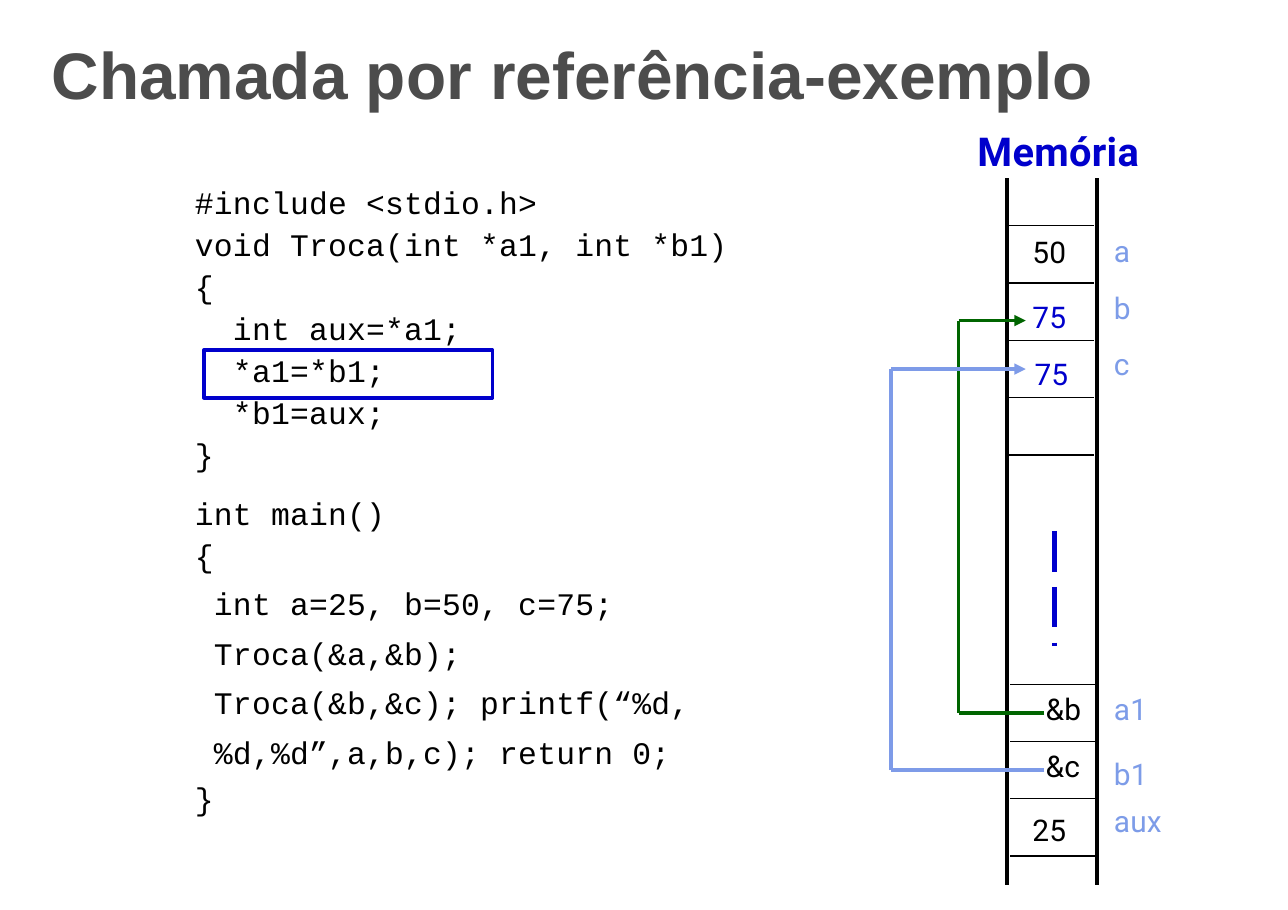
import dataclasses
import itertools

import lxml.etree
import pptx
import pptx.dml.color
import pptx.enum.dml
import pptx.enum.shapes
import pptx.enum.text
import pptx.oxml.ns
import pptx.util
from pptx.util import Inches


@dataclasses.dataclass(frozen=True)
class Theme:
    """Colours, fonts, type sizes and line widths of the slide."""
    title: str = "4C4C4C"
    ink: str = "000000"
    blue: str = "0000CC"
    label: str = "7D9CE8"
    green: str = "006500"
    sky: str = "7E9BE8"
    title_font: str = "Arial"
    code_font: str = "Courier New"
    memory_font: str = "Roboto"
    title_size: float = 43
    heading_size: float = 26
    code_size: float = 20.5
    memory_size: float = 19.5
    thin: float = 0.83
    thick: float = 2.48
    dash: float = 3.31


THEME = Theme()

CODE = [
    ("#include <stdio.h>", 0),
    ("void Troca(int *a1, int *b1)", 0),
    ("{", 0),
    ("  int aux=*a1;", 0),
    ("  *a1=*b1;", 0),
    ("  *b1=aux;", 0),
    ("}", 0),
    ("int main()", 11),
    ("{", 0),
    (" int a=25, b=50, c=75;", 4),
    (" Troca(&a,&b);", 4.9),
    (" Troca(&b,&c); printf(“%d,", 4.9),
    (" %d,%d”,a,b,c); return 0;", 4.9),
    ("}", 2.5),
]
CODE_PITCH = 27.5

CELLS = [
    ("50", 9.37, 2.12, THEME.ink),
    ("75", 9.37, 2.71, THEME.blue),
    ("75", 9.39, 3.23, THEME.blue),
    ("&b", 9.49, 6.27, THEME.ink),
    ("&c", 9.49, 6.79, THEME.ink),
    ("25", 9.37, 7.37, THEME.ink),
]
NAMES = [("a", 2.11), ("b", 2.63), ("c", 3.14),
         ("a1", 6.27), ("b1", 6.86), ("aux", 7.29)]
ROW_HEIGHT = 0.52
ROW_GROUPS = [(9.15, 2.05, 5), (9.17, 6.21, 4)]
POINTERS = [(8.7, 6.47, 2.91, THEME.green), (8.09, 6.99, 3.35, THEME.sky)]


def rgb(value):
    """Turn a hex string into a colour."""
    return pptx.dml.color.RGBColor.from_string(value)


def add_span(para, text, font, size, color, bold=False, tracking=0):
    """Add one formatted run, with tracking in hundredths of a point."""
    span = para.add_run()
    span.text = text
    span.font.name = font
    span.font.size = pptx.util.Pt(size)
    span.font.bold = bold
    span.font.color.rgb = rgb(color)
    if tracking:
        span._r.get_or_add_rPr().set("spc", str(tracking))


def clear_frame(box):
    """Remove the margins of a text box and anchor its text at the top."""
    frame = box.text_frame
    frame.margin_left = frame.margin_right = 0
    frame.margin_top = frame.margin_bottom = 0
    frame.vertical_anchor = pptx.enum.text.MSO_ANCHOR.TOP
    frame.auto_size = pptx.enum.text.MSO_AUTO_SIZE.NONE
    frame.word_wrap = True
    return frame


def add_frame(page, left, top, width, height):
    """Add a text box without margins and return its text frame."""
    return clear_frame(page.shapes.add_textbox(
        Inches(left), Inches(top), Inches(width), Inches(height)))


def add_title(page, text):
    """Place and fill the title placeholder."""
    title = page.shapes.title
    title.left, title.top = Inches(0.47), Inches(0.31)
    title.width, title.height = Inches(10.2), Inches(0.72)
    para = clear_frame(title).paragraphs[0]
    para.alignment = pptx.enum.text.PP_ALIGN.LEFT
    add_span(para, text, THEME.title_font, THEME.title_size, THEME.title, True)


def add_code(page):
    """Add the program listing."""
    frame = add_frame(page, 1.77, 1.62, 5.6, 5.9)
    for index, (text, gap) in enumerate(CODE):
        para = frame.add_paragraph() if index else frame.paragraphs[0]
        para.line_spacing = pptx.util.Pt(CODE_PITCH)
        para.space_before = pptx.util.Pt(gap)
        add_span(para, text, THEME.code_font, THEME.code_size, THEME.ink, tracking=15)


def add_memory_text(page, text, left, top, color):
    """Add a cell value or a variable name."""
    para = add_frame(page, left, top, 0.6, 0.33).paragraphs[0]
    add_span(para, text, THEME.memory_font, THEME.memory_size, color, tracking=10)


def add_line(page, start, end, color, width):
    """Add a straight line without a shadow."""
    line = page.shapes.add_connector(
        pptx.enum.shapes.MSO_CONNECTOR.STRAIGHT,
        *(Inches(value) for value in (*start, *end)))
    line.line.color.rgb = rgb(color)
    line.line.width = pptx.util.Pt(width)
    lxml.etree.SubElement(line._element.spPr, pptx.oxml.ns.qn("a:effectLst"))
    return line


def add_pointer(page, turn, bottom, top, color):
    """Add a three-part arrow from a pointer cell to the cell it refers to."""
    points = [(9.48, bottom), (turn, bottom), (turn, top), (9.31, top)]
    for start, end in itertools.pairwise(points):
        line = add_line(page, start, end, color, THEME.thick)
    outline = line._element.spPr.find(pptx.oxml.ns.qn("a:ln"))
    lxml.etree.SubElement(outline, pptx.oxml.ns.qn("a:tailEnd"), type="triangle")


def add_memory(page):
    """Draw the memory column with its cells, values and names."""
    for left in (9.14, 9.96):
        add_line(page, (left, 1.62), (left, 8.03), THEME.ink, THEME.thick)
    dash = add_line(page, (9.57, 4.82), (9.57, 5.86), THEME.blue, THEME.dash)
    dash.line.dash_style = pptx.enum.dml.MSO_LINE.LONG_DASH
    for left, first, count in ROW_GROUPS:
        for row in range(count):
            top = first + row * ROW_HEIGHT
            add_line(page, (left, top), (left + 0.78, top), THEME.ink, THEME.thin)
    for cell in CELLS:
        add_memory_text(page, *cell)
    for name, top in NAMES:
        add_memory_text(page, name, 10.11, top, THEME.label)
    para = add_frame(page, 8.54, 1.15, 1.8, 0.44).paragraphs[0]
    para.alignment = pptx.enum.text.PP_ALIGN.RIGHT
    add_span(para, "Memória", THEME.memory_font, THEME.heading_size, THEME.blue, True, 20)


def add_highlight(page):
    """Outline the statement being executed."""
    frame = page.shapes.add_shape(
        pptx.enum.shapes.MSO_SHAPE.RECTANGLE,
        Inches(1.85), Inches(3.18), Inches(2.62), Inches(0.43))
    frame.shadow.inherit = False
    frame.fill.background()
    frame.line.color.rgb = rgb(THEME.blue)
    frame.line.width = pptx.util.Pt(THEME.thick)


def main():
    """Build the slide and save it."""
    deck = pptx.Presentation()
    deck.slide_width, deck.slide_height = Inches(11.69), Inches(8.26)
    page = deck.slides.add_slide(deck.slide_layouts.get_by_name("Title Only"))
    add_title(page, "Chamada por referência-exemplo")
    add_memory(page)
    add_highlight(page)
    for pointer in POINTERS:
        add_pointer(page, *pointer)
    add_code(page)
    deck.save("out.pptx")


if __name__ == "__main__":
    main()
